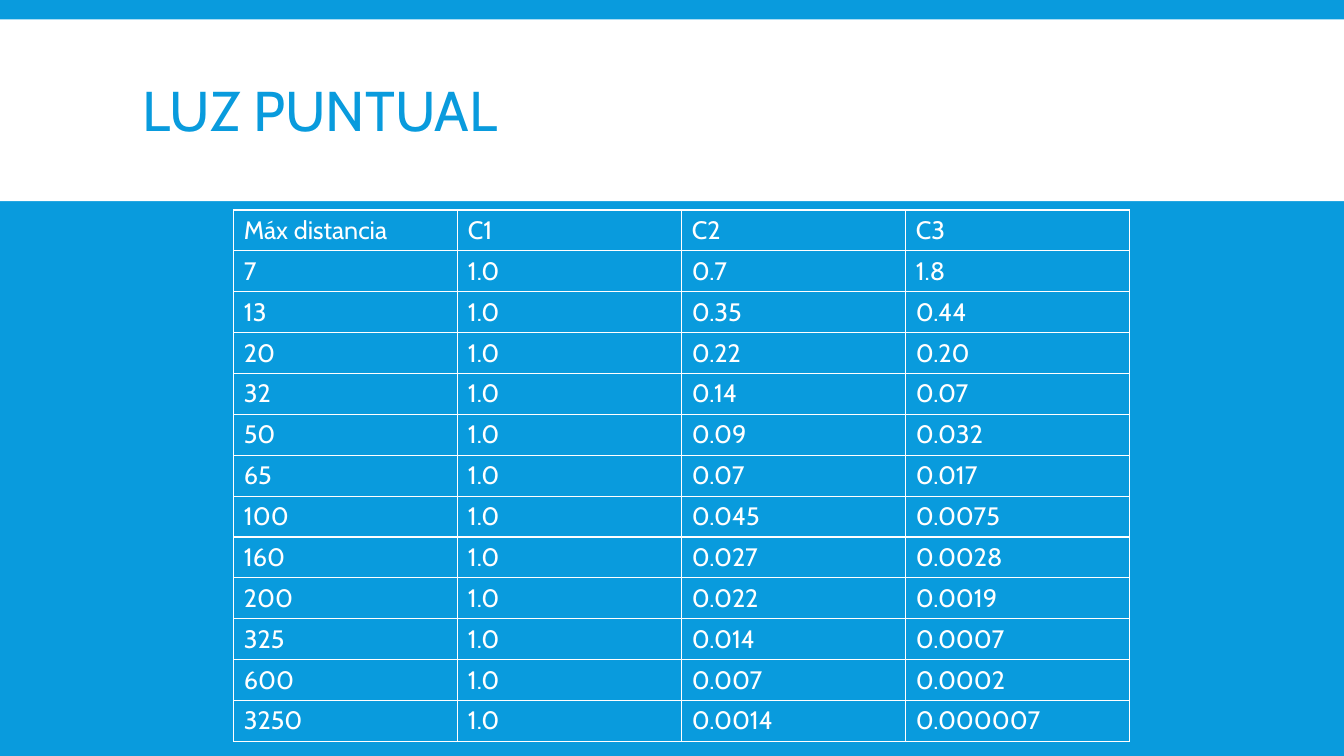
from lxml.etree import SubElement
from pptx import Presentation
from pptx.dml.color import RGBColor
from pptx.enum.shapes import MSO_SHAPE as Shape
from pptx.enum.text import MSO_ANCHOR as Anchor
from pptx.oxml.ns import qn
from pptx.util import Pt

BLUE = RGBColor(0x09, 0x9B, 0xDD)
WHITE = RGBColor(0xFF, 0xFF, 0xFF)

HEADINGS = ("Máx distancia", "C1", "C2", "C3")
ATTENUATION = (
    ("7", "0.7", "1.8"),
    ("13", "0.35", "0.44"),
    ("20", "0.22", "0.20"),
    ("32", "0.14", "0.07"),
    ("50", "0.09", "0.032"),
    ("65", "0.07", "0.017"),
    ("100", "0.045", "0.0075"),
    ("160", "0.027", "0.0028"),
    ("200", "0.022", "0.0019"),
    ("325", "0.014", "0.0007"),
    ("600", "0.007", "0.0002"),
    ("3250", "0.0014", "0.000007"),
)


class SlideBuilder:
    """Draw styled elements on one slide, with lengths in points."""

    font_name = "Cabin"

    def __init__(self, slide):
        self.slide = slide

    def background(self, color):
        fill = self.slide.background.fill
        fill.solid()
        fill.fore_color.rgb = color

    def band(self, left, top, width, height, color):
        shape = self.slide.shapes.add_shape(
            Shape.RECTANGLE, Pt(left), Pt(top), Pt(width), Pt(height))
        shape.shadow.inherit = False
        shape.fill.solid()
        shape.fill.fore_color.rgb = color
        shape.line.fill.background()

    def add_text(self, paragraph, text, size, color):
        run = paragraph.add_run()
        run.text = text
        run.font.name = self.font_name
        run.font.size = Pt(size)
        run.font.color.rgb = color

    def title(self, left, top, width, height, text, size, color):
        box = self.slide.shapes.add_textbox(
            Pt(left), Pt(top), Pt(width), Pt(height))
        frame = box.text_frame
        frame.word_wrap = True
        frame.vertical_anchor = Anchor.MIDDLE
        paragraph = frame.paragraphs[0]
        paragraph.line_spacing = 0.85
        self.add_text(paragraph, text, size, color)

    def borders(self, cell, color, weight):
        properties = cell._tc.get_or_add_tcPr()
        for side in ("a:lnL", "a:lnR", "a:lnT", "a:lnB"):
            line = SubElement(properties, qn(side), w=str(Pt(weight)))
            fill = SubElement(line, qn("a:solidFill"))
            SubElement(fill, qn("a:srgbClr"), val=str(color))

    def table(self, left, top, column_width, row_height, rows, size, color):
        row_count, column_count = len(rows), len(rows[0])
        table = self.slide.shapes.add_table(
            row_count, column_count, Pt(left), Pt(top),
            Pt(column_width * column_count), Pt(row_height * row_count)).table
        table.first_row = table.horz_banding = False
        for column in table.columns:
            column.width = Pt(column_width)
        for row, texts in zip(table.rows, rows):
            row.height = Pt(row_height)
            for cell, text in zip(row.cells, texts):
                cell.vertical_anchor = Anchor.MIDDLE
                self.borders(cell, color, 1)
                cell.fill.background()
                self.add_text(cell.text_frame.paragraphs[0], text, size, color)


def main():
    presentation = Presentation()
    presentation.slide_width = Pt(960)
    presentation.slide_height = Pt(540)
    slide = presentation.slides.add_slide(presentation.slide_layouts[6])

    builder = SlideBuilder(slide)
    builder.background(BLUE)
    builder.band(0, 13.8, 960, 129.8, WHITE)
    builder.title(95, 22.3, 770, 119, "LUZ PUNTUAL", 40, BLUE)
    rows = [HEADINGS]
    rows += [(distance, "1.0", c2, c3) for distance, c2, c3 in ATTENUATION]
    builder.table(167, 150, 160, 29.2, rows, 18, WHITE)

    presentation.save("out.pptx")


if __name__ == "__main__":
    main()
